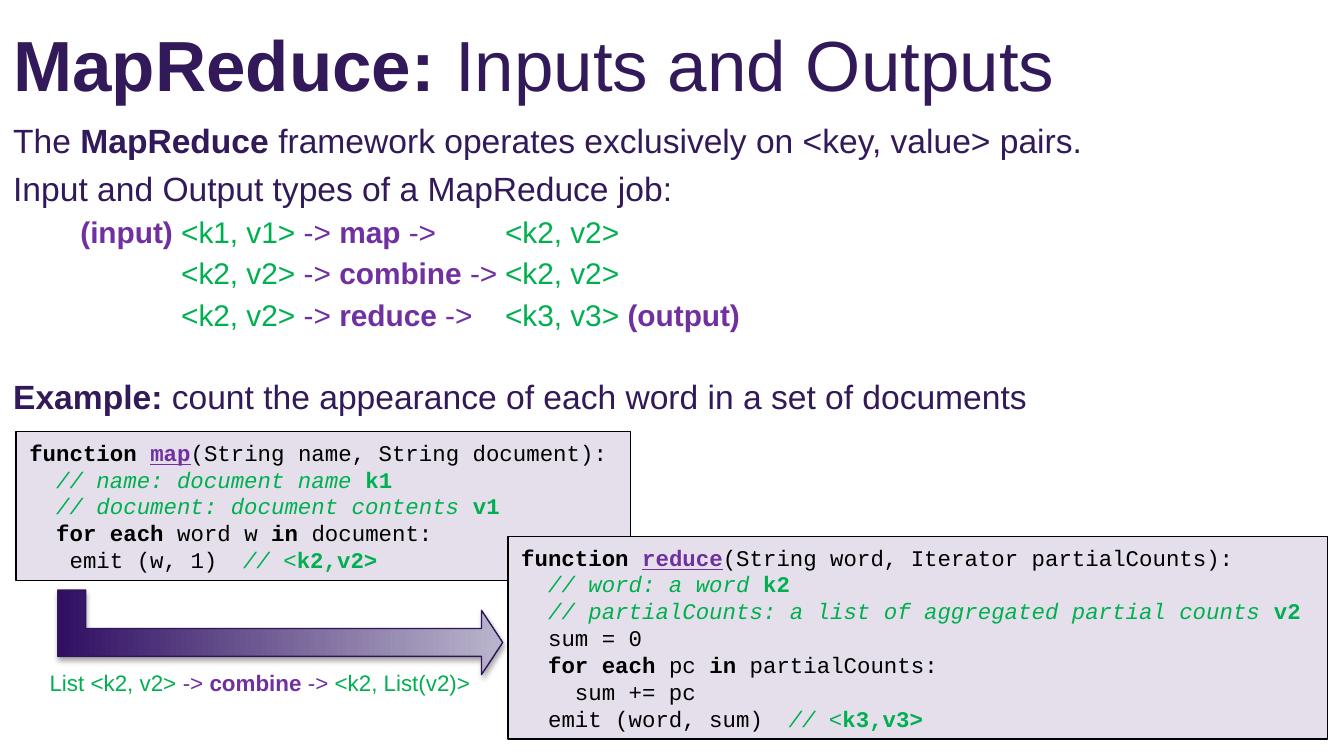
from dataclasses import dataclass

from lxml.etree import SubElement
from pptx import Presentation
from pptx.dml.color import RGBColor as RGB
from pptx.enum.shapes import MSO_SHAPE as SHAPE
from pptx.enum.text import MSO_ANCHOR as ANCHOR, MSO_AUTO_SIZE as AUTO, PP_ALIGN as ALIGN
from pptx.oxml.ns import qn
from pptx.util import Inches, Pt


@dataclass(frozen=True)
class Theme:
    sans: str = "Arial"
    mono: str = "Courier New"
    title: int = 38
    body: int = 18
    types: int = 16
    code: int = 12
    ink: str = "321959"
    black: str = "000000"
    purple: str = "7030A0"
    green: str = "00B050"
    panel: str = "E4DFEA"
    arrow_line: str = "311759"
    arrow_start: str = "300F63"
    arrow_end: str = "BAB5CC"


T = Theme()

# Run styles: colour, bold, italic, underline
INK = (T.ink, False, False, False)
INK_BOLD = (T.ink, True, False, False)
CODE = (T.black, False, False, False)
KEYWORD = (T.black, True, False, False)
NAME = (T.purple, True, False, True)
COMMENT = (T.green, False, True, False)
PAIR_NAME = (T.green, True, False, False)
PAIR = (T.green, False, False, False)
OP = (T.purple, False, False, False)
STEP = (T.purple, True, False, False)

TYPE_STOPS = (0.5, 1.25, 3.66)
SPACE_BEFORE = {T.body: 4.1, T.types: 3}


def add_runs(p, runs, font, size):
    for text, (color, bold, italic, underline) in runs:
        r = p.add_run()
        r.text = text
        f = r.font
        f.name, f.size = font, Pt(size)
        f.bold, f.italic, f.underline = bold, italic, underline
        f.color.rgb = RGB.from_string(color)


def set_tabs(p, stops):
    tabs = SubElement(p._p.get_or_add_pPr(), qn("a:tabLst"))
    for stop in stops:
        SubElement(tabs, qn("a:tab"), pos=str(Inches(stop)), algn="l")


def paragraphs(tf):
    """Yield the first paragraph of a frame, then new ones."""
    yield tf.paragraphs[0]
    while True:
        yield tf.add_paragraph()


def add_text_box(s, x, y, w, h, wrap=True):
    tf = s.shapes.add_textbox(Inches(x), Inches(y), Inches(w), Inches(h)).text_frame
    tf.word_wrap = wrap
    return tf


def add_body(s, x, y, w, h, lines):
    """Add justified lines, each given as (size, tab stops, runs)."""
    tf = add_text_box(s, x, y, w, h)
    for (size, stops, runs), p in zip(lines, paragraphs(tf)):
        p.alignment = ALIGN.JUSTIFY
        p.space_before = Pt(SPACE_BEFORE[size])
        if stops:
            set_tabs(p, stops)
        add_runs(p, runs, T.sans, size)


def add_code(s, x, y, w, h, lines):
    """Add a code panel, its lines given as (tab stops, runs)."""
    sp = s.shapes.add_shape(SHAPE.RECTANGLE, Inches(x), Inches(y), Inches(w), Inches(h))
    sp.shadow.inherit = False
    sp.fill.solid()
    sp.fill.fore_color.rgb = RGB.from_string(T.panel)
    sp.line.color.rgb = RGB.from_string(T.black)
    sp.line.width = Pt(0.75)
    tf = sp.text_frame
    tf.word_wrap = True
    tf.auto_size = AUTO.SHAPE_TO_FIT_TEXT
    tf.vertical_anchor = ANCHOR.MIDDLE
    for (stops, runs), p in zip(lines, paragraphs(tf)):
        p.alignment = ALIGN.LEFT
        if stops:
            set_tabs(p, stops)
            runs = [("\t", CODE), *runs]
        add_runs(p, runs, T.mono, T.code)


def add_bent_arrow(s, x, y, w, h):
    sp = s.shapes.add_shape(SHAPE.BENT_UP_ARROW, Inches(x), Inches(y), Inches(w), Inches(h))
    sp.rotation = 90
    for i, value in enumerate((0.33, 0.38, 0.25)):
        sp.adjustments[i] = value
    sp.fill.gradient()
    sp.fill.gradient_angle = 90
    for stop, color in zip(sp.fill.gradient_stops, (T.arrow_start, T.arrow_end)):
        stop.color.rgb = RGB.from_string(color)
    sp.line.color.rgb = RGB.from_string(T.arrow_line)
    sp.line.width = Pt(0.75)
    add_shadow(sp)


def add_shadow(sp):
    sp.shadow.inherit = False
    effects = sp._element.spPr.find(qn("a:effectLst"))
    shadow = SubElement(effects, qn("a:outerShdw"), blurRad=str(Pt(3.1)),
                        dist=str(Pt(1.8)), dir="5400000", rotWithShape="0")
    color = SubElement(shadow, qn("a:srgbClr"), val=T.black)
    SubElement(color, qn("a:alpha"), val="35000")


def type_line(label, source, step, target, tail=()):
    """One typed step: label, input pair, operation and output pair in columns."""
    return (T.types, TYPE_STOPS, [
        (f"\t{label}\t", STEP), (f"{source} ", PAIR), ("-> ", OP), (step, STEP),
        (" ->\t", OP), (target, PAIR), *tail])


def main():
    prs = Presentation()
    prs.slide_width, prs.slide_height = Inches(10), Inches(10 * 9 / 16)
    s = prs.slides.add_slide(prs.slide_layouts[6])

    title = add_text_box(s, 0, 0, 9.84, 0.94)
    title.vertical_anchor = ANCHOR.MIDDLE
    add_runs(title.paragraphs[0],
             [("MapReduce: ", INK_BOLD), ("Inputs and Outputs", INK)], T.sans, T.title)

    add_body(s, 0, 0.84, 9.5, 1.8, [
        (T.body, (), [("The ", INK), ("MapReduce", INK_BOLD),
                      (" framework operates exclusively on <key, value> pairs.", INK)]),
        (T.body, (), [("Input and Output types of a MapReduce job:", INK)]),
        type_line("(input)", "<k1, v1>", "map", "<k2, v2>"),
        type_line("", "<k2, v2>", "combine", "<k2, v2>"),
        type_line("", "<k2, v2>", "reduce", "<k3, v3>", [(" (output)", STEP)]),
    ])
    add_body(s, 0, 2.75, 9.5, 0.46, [
        (T.body, (), [("Example:", INK_BOLD),
                      (" count the appearance of each word in a set of documents", INK)]),
    ])

    add_code(s, 0.12, 3.21, 4.57, 1.11, [
        ((), [("function ", KEYWORD), ("map", NAME),
              ("(String name, String document):", CODE)]),
        ((0.2,), [("// name: document name ", COMMENT), ("k1", PAIR_NAME)]),
        ((0.2,), [("// document: document contents ", COMMENT), ("v1", PAIR_NAME)]),
        ((0.2,), [("for each ", KEYWORD), ("word w ", CODE), ("in", KEYWORD),
                  (" document:", CODE)]),
        ((0.3, 1.59), [("emit (w, 1)\t", CODE), ("// <", COMMENT), ("k2,v2>", PAIR_NAME)]),
    ])
    add_code(s, 3.78, 3.99, 6.1, 1.51, [
        ((), [("function ", KEYWORD), ("reduce", NAME),
              ("(String word, Iterator partialCounts):", CODE)]),
        ((0.2,), [("// word: a word ", COMMENT), ("k2", PAIR_NAME)]),
        ((0.2,), [("// partialCounts: a list of aggregated partial counts ", COMMENT),
                  ("v2", PAIR_NAME)]),
        ((0.2,), [("sum = 0", CODE)]),
        ((0.2,), [("for each", KEYWORD), (" pc ", CODE), ("in ", KEYWORD),
                  ("partialCounts:", CODE)]),
        ((0.4,), [("sum += pc", CODE)]),
        ((0.2, 1.99), [("emit (word, sum)\t", CODE), ("// <", COMMENT),
                       ("k3,v3>", PAIR_NAME)]),
    ])

    add_bent_arrow(s, 1.77, 3.05, 0.63, 3.31)
    caption = add_text_box(s, 0.27, 4.93, 3.41, 0.3, wrap=False)
    add_runs(caption.paragraphs[0],
             [("List <k2, v2> ", PAIR), ("-> ", OP), ("combine", STEP), (" -> ", OP),
              ("<k2, List(v2)>", PAIR)], T.sans, T.code)

    prs.save("out.pptx")


if __name__ == "__main__":
    main()
